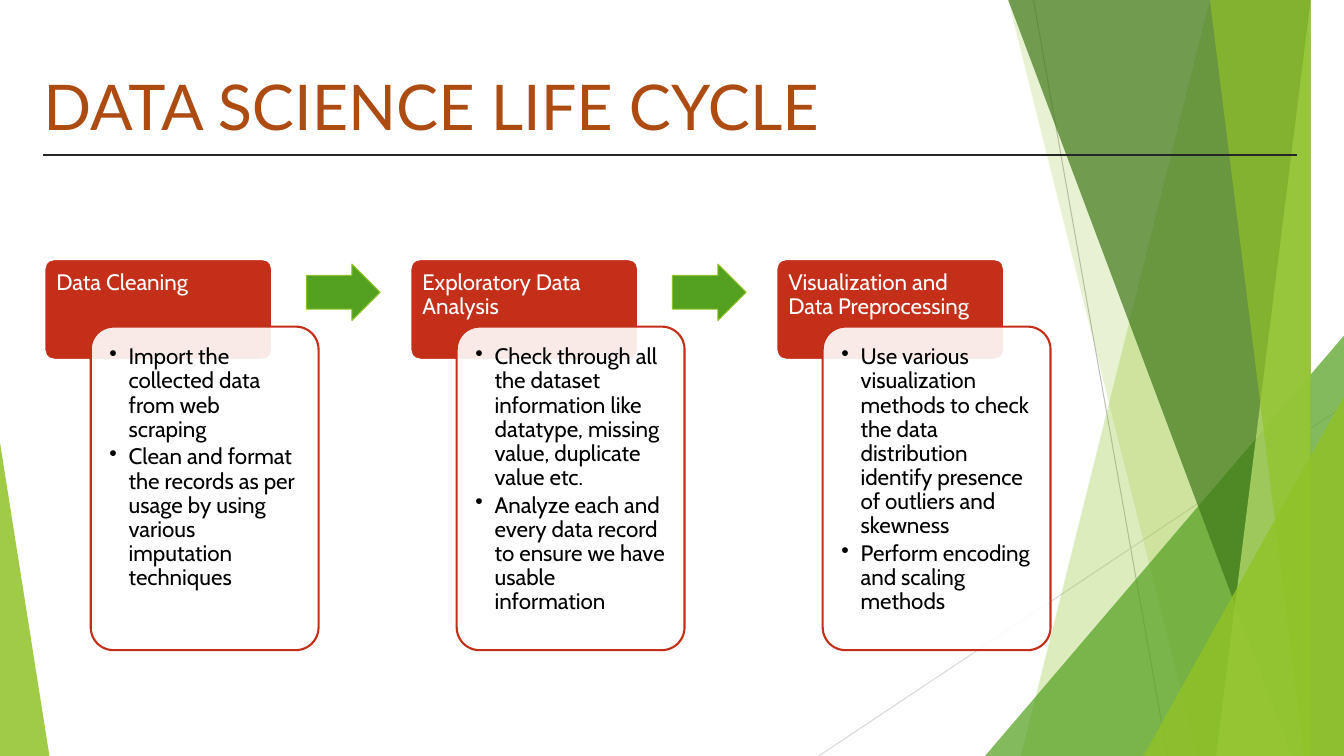
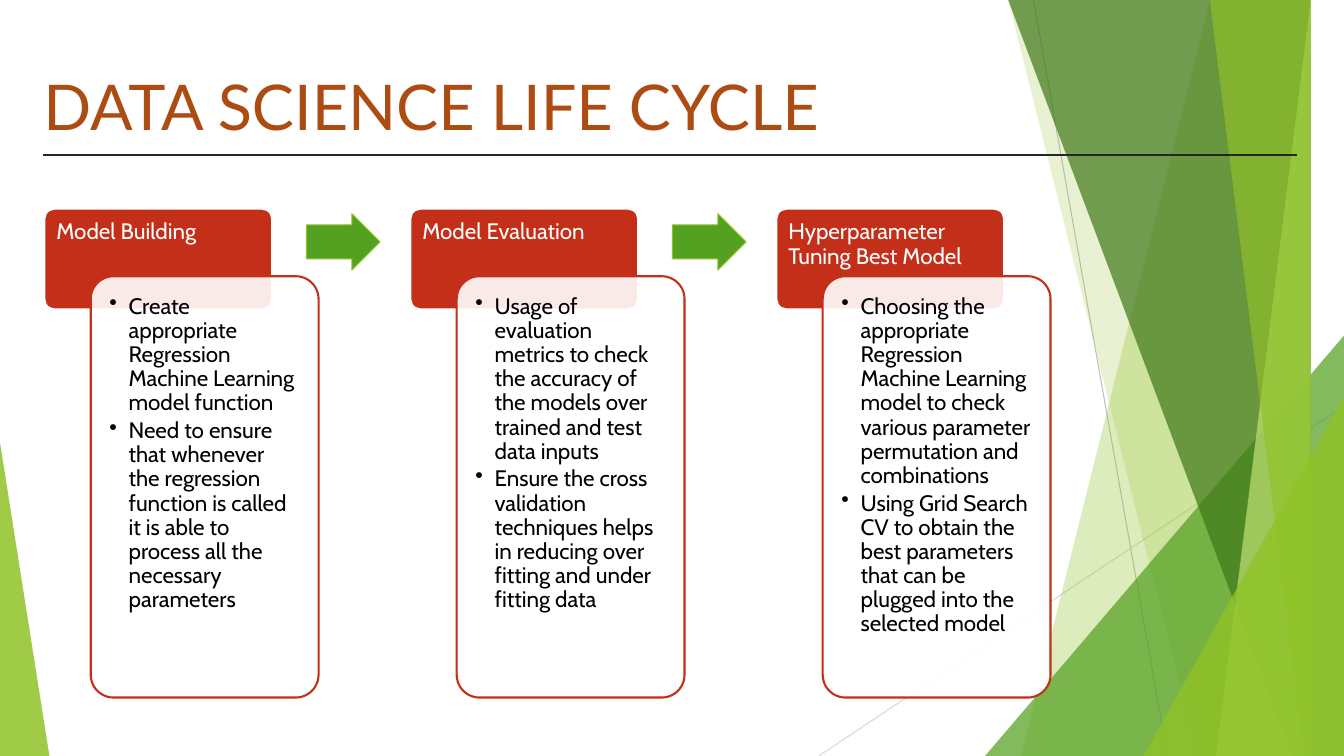
"""Build two slides on the data science life cycle over a shared green backdrop."""
from lxml import etree
from pptx import Presentation
from pptx import util as u
from pptx.dml.color import RGBColor
from pptx.enum import shapes, text
from pptx.oxml.ns import qn

TITLE = "DATA SCIENCE LIFE CYCLE"
SLIDES = [
    dict(top=2.57, card_h=3.21, steps=[
        ("Data Cleaning", [
            "Import the collected data from web scraping",
            "Clean and format the records as per usage by using various imputation techniques"]),
        ("Exploratory Data Analysis", [
            "Check through all the dataset information like datatype, missing value, duplicate value etc.",
            "Analyze each and every data record to ensure we have usable information"]),
        ("Visualization and Data Preprocessing", [
            "Use various visualization methods to check the data distribution identify presence of outliers and skewness",
            "Perform encoding and scaling methods"]),
    ]),
    dict(top=2.07, card_h=4.18, steps=[
        ("Model Building", [
            "Create appropriate Regression Machine Learning model function",
            "Need to ensure that whenever the regression function is called it is able to process all the necessary parameters"]),
        ("Model Evaluation", [
            "Usage of evaluation metrics to check the accuracy of the models over trained and test data inputs",
            "Ensure the cross validation techniques helps in reducing over fitting and under fitting data"]),
        ("Hyperparameter Tuning Best Model", [
            "Choosing the appropriate Regression Machine Learning model to check various parameter permutation and combinations",
            "Using Grid Search CV to obtain the best parameters that can be plugged into the selected model"]),
    ]),
]

W, H = 13.33, 7.5
LEFT, PITCH, BOX_W, HEAD_H = 0.44, 3.63, 2.26, 1
CARD_DX, CARD_DY, ARROW_DX, ARROW_DY = 0.46, 0.67, 2.6, 0.05
GREEN, LIME, RED, WHITE = "54A021", "90C226", "C42F1A", "FFFFFF"

LINES = [
    ((10.25, 0), (11.58, H), "BFBFBF", 0.75),
    ((W, 4.03), (8.12, H), "D9D9D9", 0.75),
    ((0.43, 1.54), (12.86, 1.54), "262626", 1.5),
]
BANDS = [
    ("quad", (12.28, W, W, 10.04), LIME, 30),
    ("quad", (10.5, W, W, 11.83), LIME, 20),
    ("triangle", (9.77, 3.33, 3.56, 4.17, 1), GREEN, 72),
    ("quad", (10.21, W, W, 12.91), "3F7819", 70),
    ("quad", (13.03, W, W, 11.92), "C0E474", 70),
    ("quad", (11.96, W, W, 13.18), LIME, 65),
    ("triangle", (11.34, 3.93, 1.99, 3.57, 1), LIME, 80),
    ("triangle", (0, 4.39, 0.49, 3.11, 0), LIME, 85),
]


def rgb(color):
    return RGBColor.from_string(color)


def paint(sp, fill, alpha=100, line=None, width=1.5):
    sp.shadow.inherit = False
    sp.fill.solid()
    sp.fill.fore_color.rgb = rgb(fill)
    if alpha < 100:
        clr = sp.element.spPr.find(".//" + qn("a:srgbClr"))
        etree.SubElement(clr, qn("a:alpha"), val=str(alpha * 1000))
    if line:
        sp.line.color.rgb = rgb(line)
        sp.line.width = u.Pt(width)
    else:
        sp.line.fill.background()
    return sp


def add_box(s, kind, at, adj, **look):
    sp = s.shapes.add_shape(kind, *map(u.Inches, at))
    for i, value in enumerate(adj):
        sp.adjustments[i] = value
    return paint(sp, **look)


def add_line(s, start, end, color, width):
    ln = s.shapes.add_connector(
        shapes.MSO_CONNECTOR.STRAIGHT, *map(u.Inches, start + end))
    ln.line.color.rgb = rgb(color)
    ln.line.width = u.Pt(width)
    etree.SubElement(ln.element.spPr, qn("a:effectLst"))
    return ln


def write(sp, paragraphs, size=16, font="Cabin", color="000000", inset=(0.12, 0.12),
          anchor=text.MSO_ANCHOR.TOP, spacing=0.9, after=0, bullet=False):
    tf = sp.text_frame
    tf.word_wrap = True
    tf.auto_size = text.MSO_AUTO_SIZE.NONE
    tf.vertical_anchor = anchor
    tf.margin_left = tf.margin_right = u.Inches(inset[0])
    tf.margin_top = tf.margin_bottom = u.Inches(inset[1])
    for i, words in enumerate(paragraphs):
        p = tf.add_paragraph() if i else tf.paragraphs[0]
        p.alignment = text.PP_ALIGN.LEFT
        p.line_spacing = spacing
        p.space_before, p.space_after = u.Pt(0), u.Pt(after)
        if bullet:
            pPr = p._p.get_or_add_pPr()
            pPr.set("marL", str(u.Inches(0.19)))
            pPr.set("indent", str(-u.Inches(0.19)))
            etree.SubElement(pPr, qn("a:buChar"), char="•")
        r = p.add_run()
        r.text = words
        r.font.size, r.font.name = u.Pt(size), font
        r.font.color.rgb = rgb(color)


def add_band(s, kind, geometry, color, alpha):
    if kind == "triangle":
        *at, apex = geometry
        return add_box(s, shapes.MSO_SHAPE.ISOSCELES_TRIANGLE, at, [apex],
                       fill=color, alpha=alpha)
    points = list(zip(geometry, (0, 0, H, H)))
    fb = s.shapes.build_freeform(*points[0], scale=u.Inches(1))
    fb.add_line_segments(points[1:], close=True)
    return paint(fb.convert_to_shape(), color, alpha)


def add_backdrop(layout, s):
    parts = [add_line(s, *line) for line in LINES[:2]]
    parts += [add_band(s, *band) for band in BANDS]
    parts.append(add_line(s, *LINES[2]))
    for number, part in enumerate(parts, 100):
        part.element.find(".//" + qn("p:cNvPr")).set("id", str(number))
        layout.shapes.element.append(part.element)


def add_step(s, x, top, card_h, heading, bullets):
    rounded = shapes.MSO_SHAPE.ROUNDED_RECTANGLE
    head = add_box(s, rounded, (x, top, BOX_W, HEAD_H), [0.1], fill=RED, line=WHITE)
    write(head, [heading], color=WHITE, inset=(0.09, 0.09))
    card = add_box(s, rounded, (x + CARD_DX, top + CARD_DY, BOX_W, card_h), [0.1],
                   fill=WHITE, alpha=90, line=RED)
    write(card, bullets, after=2.5, bullet=True)


def main():
    prs = Presentation()
    prs.slide_width, prs.slide_height = u.Inches(W), u.Inches(H)
    layout = prs.slide_layouts[5]
    title = layout.placeholders[0]
    title.left, title.top, title.width, title.height = map(
        u.Inches, (0.43, 0.37, 12.43, 1.1))
    for n, content in enumerate(SLIDES):
        s = prs.slides.add_slide(layout)
        if n == 0:
            add_backdrop(layout, s)
        write(s.shapes.title, [TITLE], size=45, font="Lato", color="AD4C12",
              inset=(0, 0.05), anchor=text.MSO_ANCHOR.BOTTOM, spacing=1.0)
        top = content["top"]
        for i, (heading, bullets) in enumerate(content["steps"]):
            x = LEFT + i * PITCH
            add_step(s, x, top, content["card_h"], heading, bullets)
            if i < len(content["steps"]) - 1:
                add_box(s, shapes.MSO_SHAPE.RIGHT_ARROW,
                        (x + ARROW_DX, top + ARROW_DY, 0.73, 0.56), [0.6, 0.5],
                        fill=GREEN, line=LIME, width=0.75)
    prs.save("out.pptx")


if __name__ == "__main__":
    main()
